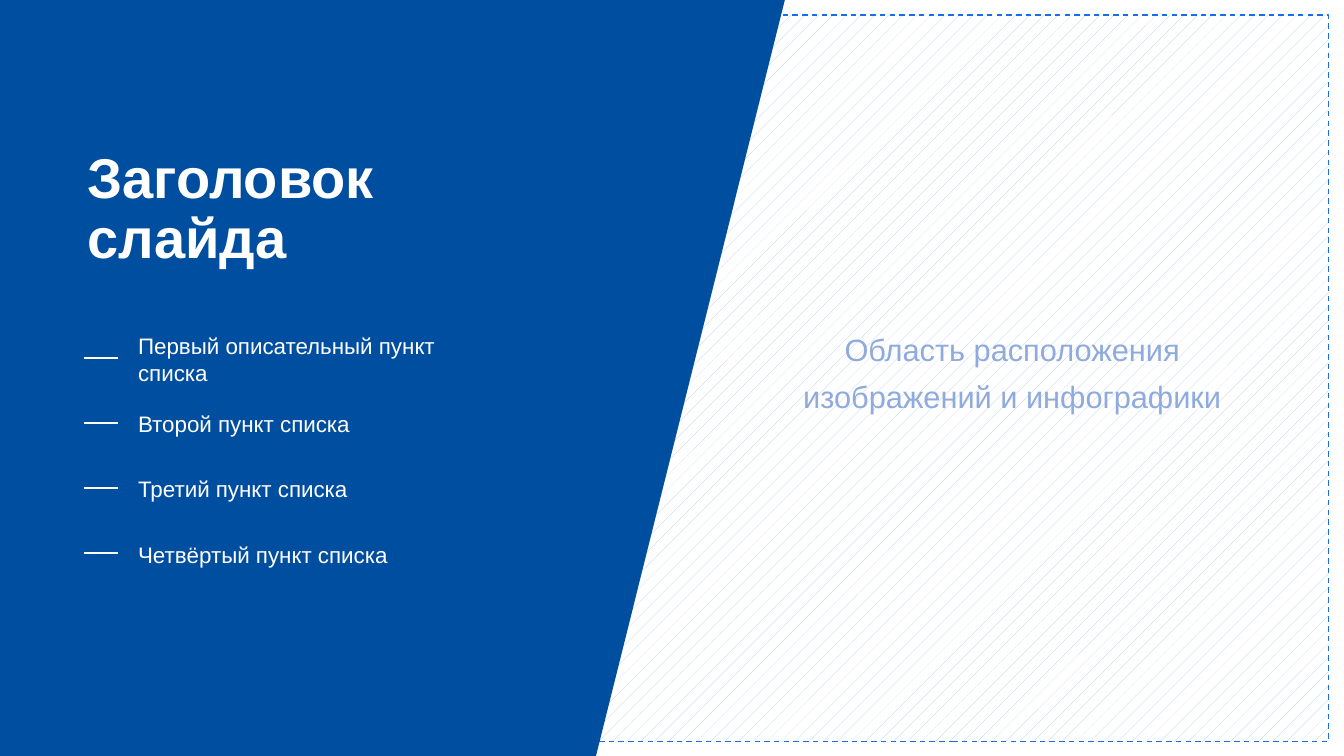
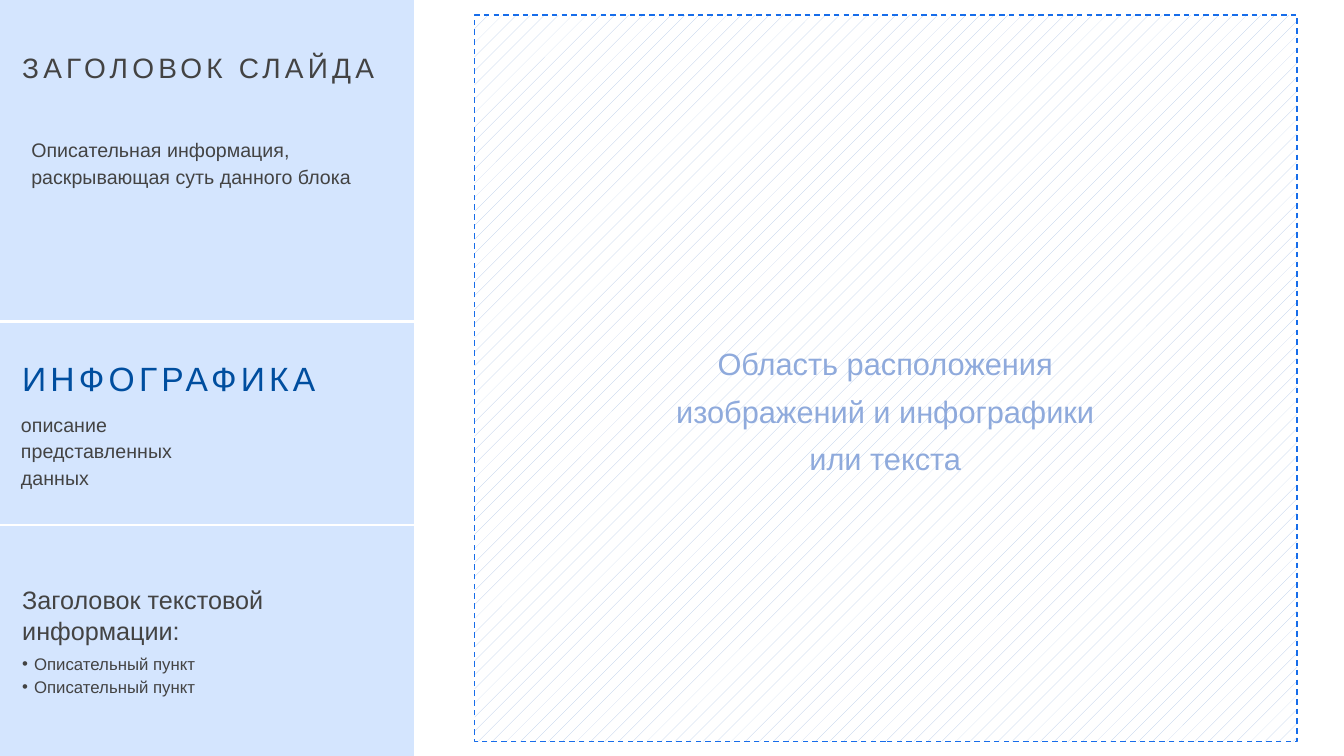
"""Builds two template slides with a text panel and a hatched content area."""
import pptx
import pptx.dml.color
import pptx.enum.dml
import pptx.enum.shapes
import pptx.enum.text
import pptx.util
from lxml import etree

Cm = pptx.util.Cm
Pt = pptx.util.Pt
Hue = pptx.dml.color.RGBColor.from_string
Side = pptx.enum.text.PP_ALIGN
Hold = pptx.enum.text.MSO_ANCHOR


class Theme:
    font = "Arial"
    deep = Hue("004E9F")
    pale = Hue("D4E5FE")
    white = Hue("FFFFFF")
    ink = Hue("434343")
    hint = Hue("8FAADC")
    hatch = Hue("B4C7E7")
    edge = Hue("176DEA")
    hero = 40
    label = 24
    area = 22
    head = 20
    sub = 18
    item = 16
    note = 14
    point = 12


def write(shape, rows, hue, lead=1.0, bold=False, track=0, side=Side.LEFT, hold=Hold.TOP):
    frame = shape.text_frame
    frame.word_wrap = True
    frame.auto_size = pptx.enum.text.MSO_AUTO_SIZE.NONE
    frame.vertical_anchor = hold
    frame.margin_left = frame.margin_right = frame.margin_top = frame.margin_bottom = 0
    for num, (text, size, gap, mark) in enumerate(rows):
        para = frame.add_paragraph() if num else frame.paragraphs[0]
        props = para._p.get_or_add_pPr()
        dent = Cm(0.3) if mark else 0
        props.set("marL", str(dent))
        props.set("indent", str(-dent))
        kind = "a:buChar" if mark else "a:buNone"
        tag = etree.SubElement(props, pptx.oxml.ns.qn(kind))
        if mark:
            tag.set("char", mark)
        para.alignment = side
        para.line_spacing = lead
        para.space_before = Pt(gap)
        run = para.add_run()
        run.text = text
        run.font.name = Theme.font
        run.font.size = Pt(size)
        run.font.bold = bold
        run.font.color.rgb = hue
        if track:
            run._r.get_or_add_rPr().set("spc", str(track * 100))


def place(slide, shape, left, top, width, height):
    shape.left, shape.top, shape.width, shape.height = Cm(left), Cm(top), Cm(width), Cm(height)
    slide.shapes._spTree.append(shape._element)
    return shape


deck = pptx.Presentation()
deck.slide_width, deck.slide_height = Cm(33.87), Cm(19.05)

lines = ["Область расположения", "изображений и инфографики", "или текста"]
areas = [
    (14.63, 18.85, 18.01, 9.45, lines[:2]),
    (11.96, 20.73, 14.81, 10.41, lines),
]
for left, width, start, mid, words in areas:
    slide = deck.slides.add_slide(deck.slide_layouts[1])
    area = slide.shapes.add_shape(
        pptx.enum.shapes.MSO_SHAPE.RECTANGLE, Cm(left), Cm(0.38), Cm(width), Cm(18.31))
    area.shadow.inherit = False
    area.fill.patterned()
    area.fill.pattern = pptx.enum.dml.MSO_PATTERN.PERCENT_5
    area.fill.fore_color.rgb = Theme.hatch
    area.fill.back_color.rgb = Theme.white
    area.line.color.rgb = Theme.edge
    area.line.width = Pt(1)
    area.line.dash_style = pptx.enum.dml.MSO_LINE.DASH
    hint = slide.shapes.add_textbox(Cm(start), Cm(mid - 2), Cm(15), Cm(4))
    rows = [(word, Theme.area, 10 if num else 0, "") for num, word in enumerate(words)]
    write(hint, rows, Theme.hint, lead=0.9, side=Side.CENTER, hold=Hold.MIDDLE)

first, second = deck.slides

bands = [
    (first, 19.78, 15.02, Theme.deep),
    (second, 10.44, 10.44, Theme.pale),
]
for slide, top, base, hue in bands:
    build = slide.shapes.build_freeform(0, 0)
    build.add_line_segments([
        (Cm(top), 0), (Cm(base), deck.slide_height), (0, deck.slide_height)])
    band = build.convert_to_shape()
    band.shadow.inherit = False
    band.fill.solid()
    band.fill.fore_color.rgb = hue
    band.line.fill.background()

title = place(first, first.shapes.title, 2.21, 2.87, 11.66, 4.85)
write(title, [("Заголовок слайда", Theme.hero, 0, "")], Theme.white,
      lead=0.9, bold=True, hold=Hold.MIDDLE)
items = place(first, first.placeholders[1], 3.48, 8.38, 7.82, 6.2)
write(items, [
    ("Первый описательный пункт списка", Theme.item, 0, ""),
    ("Второй пункт списка", Theme.item, 17, ""),
    ("Третий пункт списка", Theme.item, 27.5, ""),
    ("Четвёртый пункт списка", Theme.item, 27.5, ""),
], Theme.white)

title = place(second, second.shapes.title, 0.56, 1.14, 9.47, 1)
write(title, [("ЗАГОЛОВОК СЛАЙДА", Theme.head, 0, "")], Theme.ink, lead=1.15, track=3)
about = second.shapes.add_textbox(Cm(0.79), Cm(3.4), Cm(8.5), Cm(4))
write(about, [("Описательная информация, раскрывающая суть данного блока", Theme.note, 0, "")],
      Theme.ink, lead=1.14)
label = second.shapes.add_textbox(Cm(0.56), Cm(9.02), Cm(9.8), Cm(1.02))
write(label, [("ИНФОГРАФИКА", Theme.label, 0, "")], Theme.deep, track=3)
data = second.shapes.add_textbox(Cm(0.53), Cm(10.31), Cm(9.8), Cm(2.1))
write(data, [(word, Theme.note, 0, "") for word in ("описание", "представленных", "данных")],
      Theme.ink, lead=1.14)
points = place(second, second.placeholders[1], 0.56, 14.73, 7.14, 2.9)
write(points, [
    ("Заголовок текстовой информации:", Theme.sub, 0, ""),
    ("Описательный пункт", Theme.point, 6, "•"),
    ("Описательный пункт", Theme.point, 2, "•"),
], Theme.ink)

rules = [(first, 2.11, 2.97, 9.02 + 1.64 * num) for num in range(4)]
rules += [(second, 0, 10.44, y) for y in (8.1, 13.23)]
for slide, start, end, y in rules:
    rule = slide.shapes.add_connector(
        pptx.enum.shapes.MSO_CONNECTOR.STRAIGHT, Cm(start), Cm(y), Cm(end), Cm(y))
    rule.line.color.rgb = Theme.white
    rule.line.width = Pt(1.5)
    etree.SubElement(rule._element.spPr, pptx.oxml.ns.qn("a:effectLst"))

deck.save("out.pptx")
